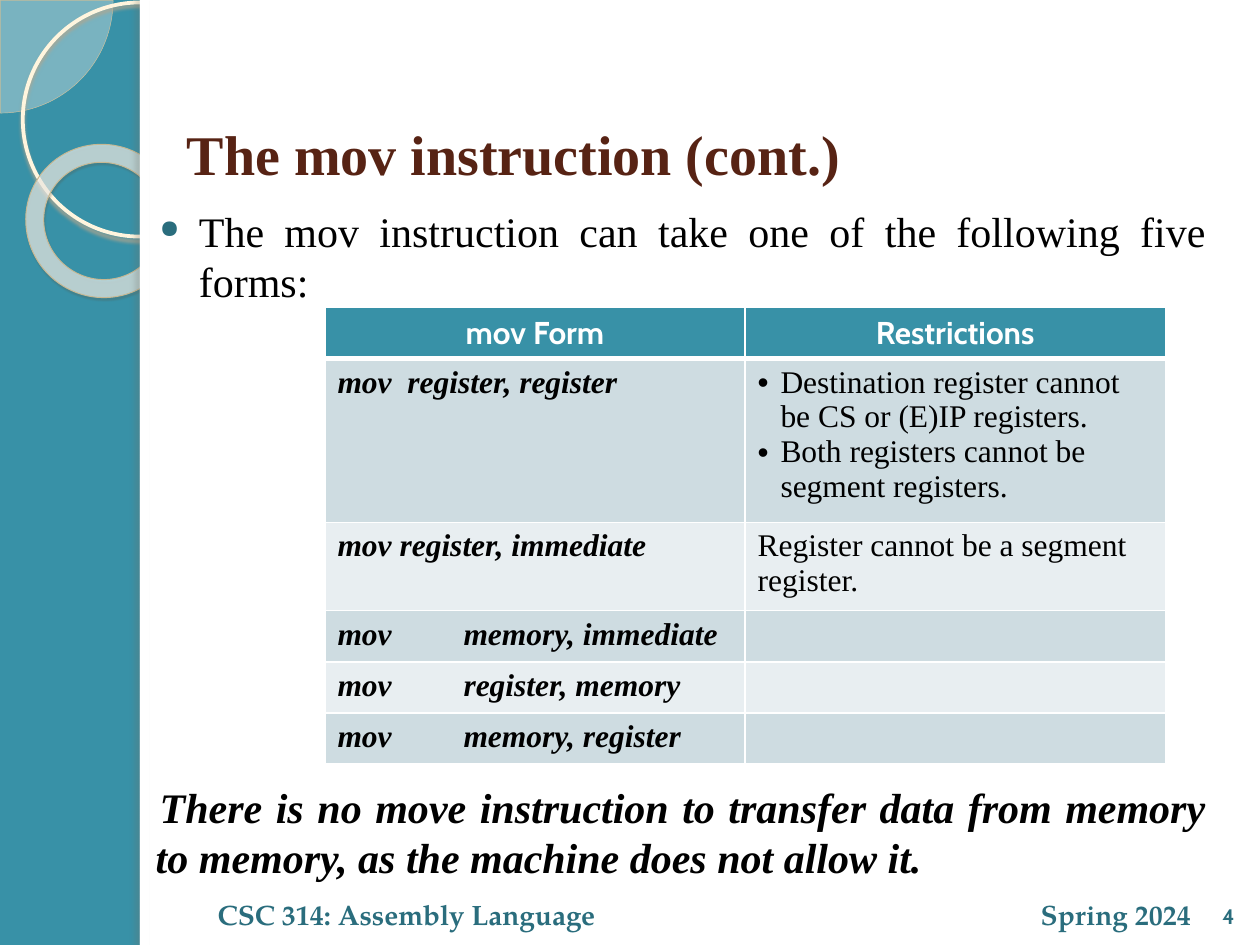
from dataclasses import dataclass
from typing import Optional

from lxml.etree import SubElement
from pptx import Presentation
from pptx.dml.color import RGBColor
from pptx.enum.shapes import MSO_SHAPE
from pptx.enum.text import MSO_ANCHOR, PP_ALIGN
from pptx.oxml.ns import qn
from pptx.util import Cm, Pt

TEAL = RGBColor(0x38, 0x91, 0xA7)
DEEP = RGBColor(0x2A, 0x6D, 0x7D)
BROWN = RGBColor(0x57, 0x23, 0x14)
BLACK = RGBColor(0, 0, 0)
WHITE = RGBColor(0xFF, 0xFF, 0xFF)
CREAM = RGBColor(0xFE, 0xFA, 0xF4)
IVORY = RGBColor(0xFF, 0xF5, 0xDE)
SAND = RGBColor(0xD3, 0xC3, 0x9F)
TAN = RGBColor(0xC7, 0xB8, 0x93)
DARK_BAND = RGBColor(0xCE, 0xDC, 0xE1)
PALE_BAND = RGBColor(0xE8, 0xEE, 0xF1)
SERIF, SANS, BOOK = "Times New Roman", "Cabin", "TeX Gyre Pagella"


@dataclass
class Shade:
    color: str
    alpha: int
    blur: float
    dist: float
    angle: int


@dataclass
class Form:
    kind: MSO_SHAPE
    box: tuple
    fill: Optional[RGBColor] = None
    alpha: int = 100
    line: Optional[RGBColor] = None
    width: float = 0
    shade: Optional[Shade] = None
    adjust: tuple = ()
    turn: float = 0


@dataclass
class Style:
    font: str
    size: int
    color: RGBColor
    bold: bool = False
    slant: bool = False
    align: PP_ALIGN = PP_ALIGN.LEFT


@dataclass
class Label:
    text: str
    box: tuple
    style: Style
    anchor: MSO_ANCHOR = MSO_ANCHOR.BOTTOM


def place(box: tuple) -> list:
    return [Cm(side) for side in box]


def add_form(slide, form: Form) -> None:
    shape = slide.shapes.add_shape(form.kind, *place(form.box))
    shape.shadow.inherit = False
    shape.rotation = form.turn
    for index, value in enumerate(form.adjust):
        shape.adjustments[index] = value
    if form.fill is None:
        shape.fill.background()
    else:
        shape.fill.solid()
        shape.fill.fore_color.rgb = form.fill
        if form.alpha < 100:
            tint = shape.element.spPr.find(qn("a:solidFill"))[0]
            SubElement(tint, qn("a:alpha"), val=str(form.alpha * 1000))
    if form.line is None:
        shape.line.fill.background()
    else:
        shape.line.color.rgb = form.line
        shape.line.width = Pt(form.width)
    if form.shade:
        shade = form.shade
        outer = SubElement(shape.element.spPr.find(qn("a:effectLst")), qn("a:outerShdw"),
                           blurRad=str(Pt(shade.blur)), dist=str(Pt(shade.dist)),
                           dir=str(shade.angle * 60000), algn="tl", rotWithShape="0")
        tint = SubElement(outer, qn("a:srgbClr"), val=shade.color)
        SubElement(tint, qn("a:alpha"), val=str(shade.alpha * 1000))


def set_text(frame, text: str, style: Style) -> None:
    frame.text = text
    for line in frame.paragraphs:
        line.alignment = style.align
        for run in line.runs:
            run.font.name = style.font
            run.font.size = Pt(style.size)
            run.font.color.rgb = style.color
            run.font.bold = style.bold
            run.font.italic = style.slant


def indent(line, left: float, first: float):
    props = line._p.get_or_add_pPr()
    props.set("marL", str(Cm(left)))
    props.set("indent", str(Cm(first)))
    return props


def add_label(slide, label: Label):
    frame = slide.shapes.add_textbox(*place(label.box)).text_frame
    frame.word_wrap = True
    frame.vertical_anchor = label.anchor
    set_text(frame, label.text, label.style)
    return frame.paragraphs[0]


def set_edges(cell, widths: dict) -> None:
    props = cell._tc.get_or_add_tcPr()
    for index, (side, width) in enumerate(widths.items()):
        edge = SubElement(props, qn(f"a:{side}"), w=str(Pt(width)))
        fill = SubElement(edge, qn("a:solidFill"))
        SubElement(fill, qn("a:srgbClr"), val=str(WHITE))
        props.insert(index, edge)


def add_grid(slide, rows: list, box: tuple) -> None:
    table = slide.shapes.add_table(len(rows), 2, *place(box)).table
    head = Style(SANS, 18, WHITE, True, align=PP_ALIGN.CENTER)
    code = Style(SERIF, 18, BLACK, True, True)
    plain = Style(SERIF, 18, BLACK)
    for y, row in enumerate(rows):
        for x, text in enumerate(row):
            cell = table.cell(y, x)
            cell.fill.solid()
            band = DARK_BAND if y % 2 else PALE_BAND
            cell.fill.fore_color.rgb = band if y else TEAL
            set_edges(cell, {"lnL": 1, "lnR": 1, "lnT": 3 if y == 1 else 1,
                             "lnB": 1 if y else 3})
            set_text(cell.text_frame, text, (plain if x else code) if y else head)
            lines = cell.text_frame.paragraphs
            if len(lines) > 1:
                for line in lines:
                    props = indent(line, 0.46, -0.46)
                    SubElement(props, qn("a:buFont"), typeface="Arial")
                    SubElement(props, qn("a:buChar"), char="•")
            if "\t" in text:
                stops = SubElement(lines[0]._p.get_or_add_pPr(), qn("a:tabLst"))
                SubElement(stops, qn("a:tab"), pos=str(Cm(2.54)), algn="l")


FORMS = [
    Form(MSO_SHAPE.PIE, (-2.26, -2.26, 4.54, 4.54), CREAM, 33, SAND, 0.25, adjust=(0, 54)),
    Form(MSO_SHAPE.OVAL, (0.46, 0.05, 4.72, 4.72), line=IVORY, width=2.15,
         shade=Shade("B0A68F", 85, 2, 2, 90)),
    Form(MSO_SHAPE.DONUT, (0.51, 2.92, 3.12, 3.07), CREAM, 63, TAN, 0.58,
         Shade("5A5444", 35, 1, 1.2, 75), (0.118,), 38.6),
    Form(MSO_SHAPE.RECTANGLE, (2.82, 0, 22.58, 19.05), WHITE),
    Form(MSO_SHAPE.RECTANGLE, (2.82, 0, 0.2, 19.05), WHITE,
         shade=Shade("736F63", 25, 3, 3, 180)),
]

ROWS = [
    ("mov Form", "Restrictions"),
    ("mov  register, register",
     "Destination register cannot be CS or (E)IP registers.\n"
     "Both registers cannot be segment registers."),
    ("mov register, immediate", "Register cannot be a segment register."),
    ("mov \tmemory, immediate", ""),
    ("mov \tregister, memory", ""),
    ("mov \tmemory, register", ""),
]

FEET = [
    Label("CSC 314: Assembly Language", (4.14, 17.35, 10, 1.55),
          Style(BOOK, 16, DEEP, True)),
    Label("Spring 2024", (17.76, 17.35, 6.5, 1.55),
          Style(BOOK, 16, DEEP, True, align=PP_ALIGN.RIGHT)),
    Label("4", (24.13, 17.53, 1.27, 1.32),
          Style(SANS, 12, DEEP, True, align=PP_ALIGN.CENTER)),
]
LEAD = Label("The mov instruction can take one of the following five forms:",
             (2.74, 4.01, 21.82, 2.3),
             Style(SERIF, 24, BLACK, align=PP_ALIGN.JUSTIFY), MSO_ANCHOR.TOP)
NOTE = Label("There is no move instruction to transfer data from memory to memory, "
             "as the machine does not allow it.", (2.74, 15.63, 21.82, 2.3),
             Style(SERIF, 24, BLACK, True, True, PP_ALIGN.JUSTIFY), MSO_ANCHOR.TOP)


def main() -> None:
    deck = Presentation()
    deck.slide_width, deck.slide_height = Cm(25.4), Cm(19.05)
    slide = deck.slides.add_slide(deck.slide_layouts[5])
    slide.background.fill.solid()
    slide.background.fill.fore_color.rgb = TEAL
    for form in FORMS:
        add_form(slide, form)

    title = slide.shapes.title
    title.left, title.top, title.width, title.height = place((3.51, 1.91, 20.83, 2.34))
    title.text_frame.vertical_anchor = MSO_ANCHOR.MIDDLE
    set_text(title.text_frame, "The mov instruction (cont.)", Style(SERIF, 32, BROWN, True))
    title.element.getparent().append(title.element)

    props = indent(add_label(slide, LEAD), 1.02, -0.79)
    SubElement(SubElement(props, qn("a:buClr")), qn("a:srgbClr"), val=str(DEEP))
    SubElement(props, qn("a:buSzPct"), val="60000")
    SubElement(props, qn("a:buChar"), char="●")

    indent(add_label(slide, NOTE), 0.15, 0.08)
    for label in FEET:
        add_label(slide, label)
    add_grid(slide, ROWS, (6.55, 6.2, 16.94, 1.03 * len(ROWS)))
    deck.save("out.pptx")


if __name__ == "__main__":
    main()
